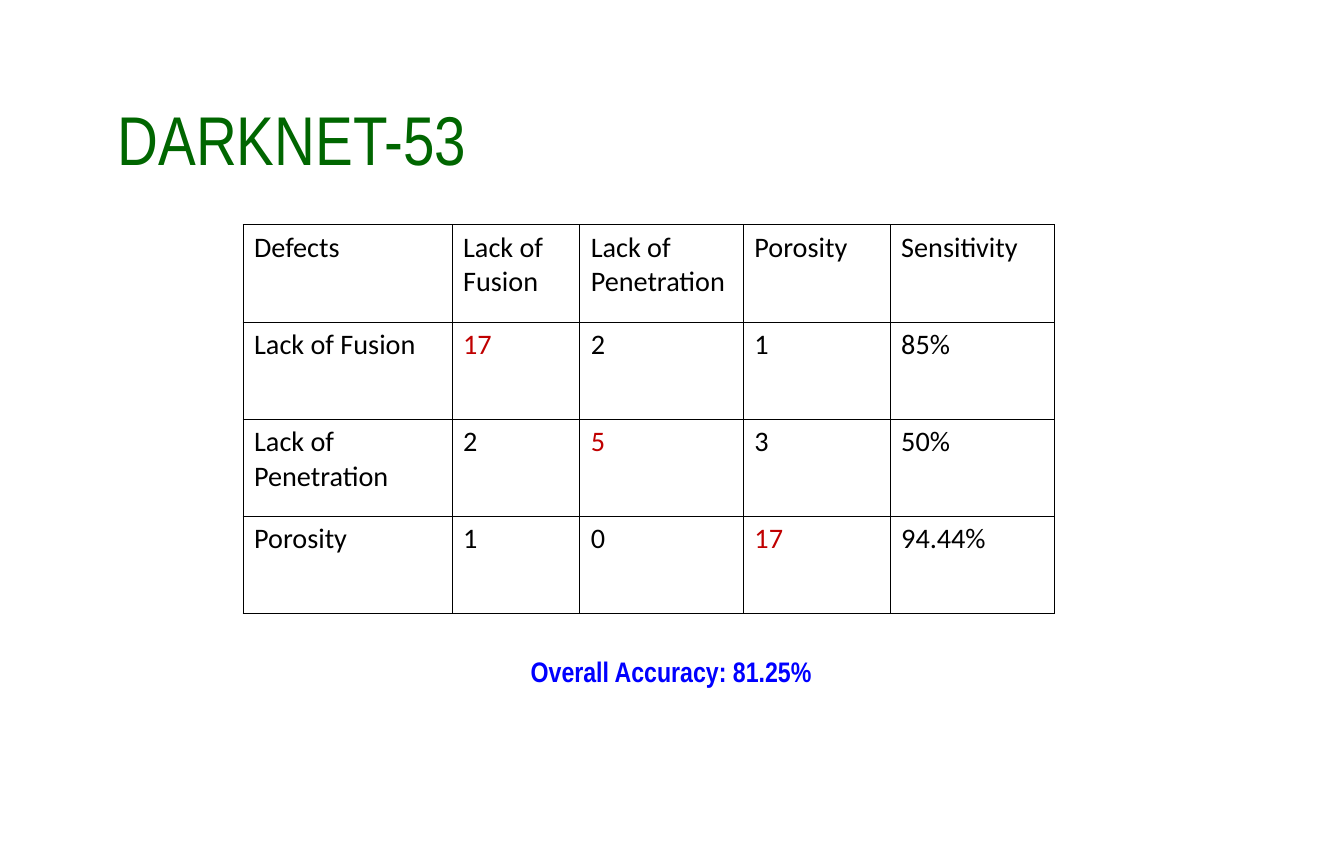
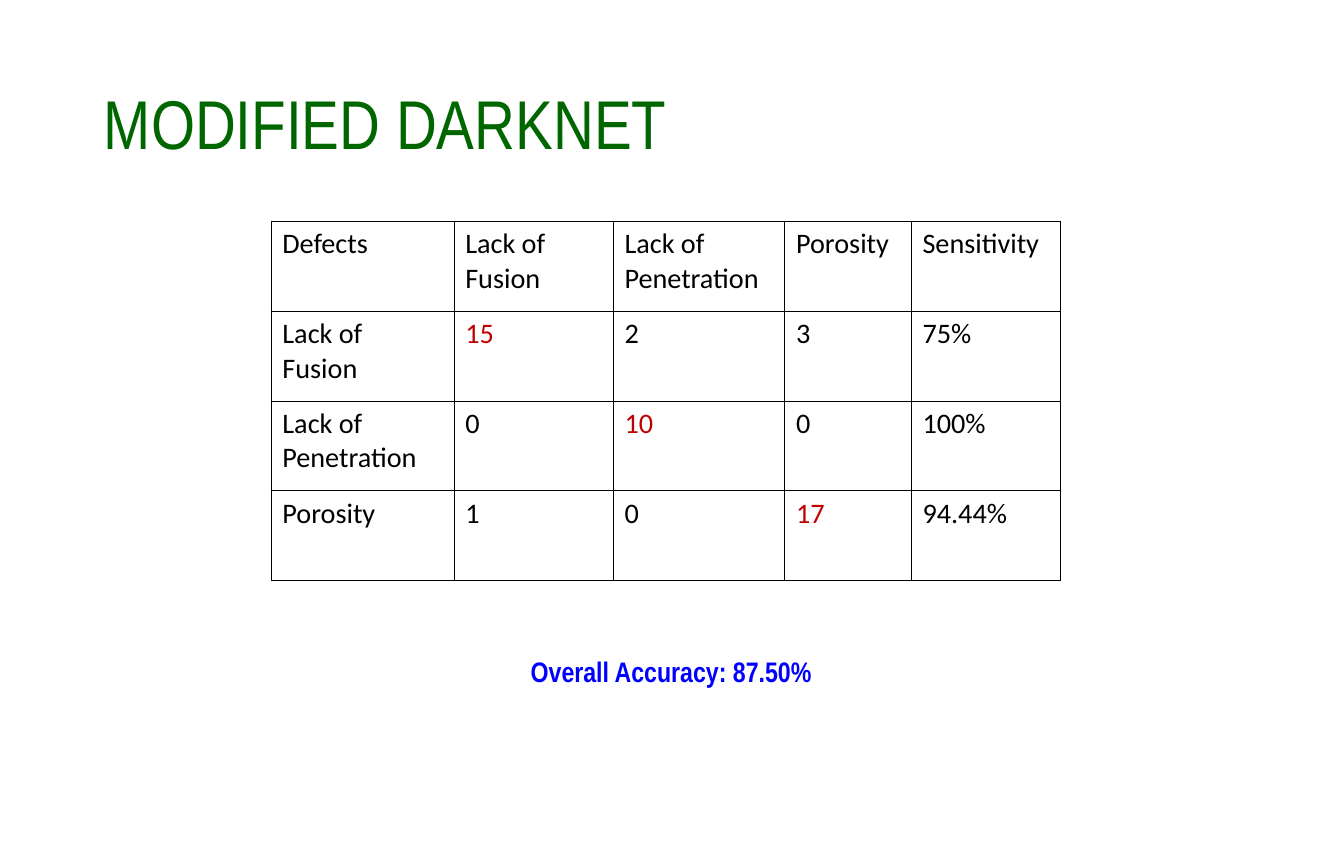
from dataclasses import dataclass

from lxml import etree
from pptx import Presentation
from pptx import util as u
from pptx.dml.color import RGBColor
from pptx.enum import text
from pptx.oxml import ns

SLIDE_WIDTH = u.Inches(11.9)
SLIDE_HEIGHT = u.Inches(7.5)
COLORS = {
    "title": "006600",
    "text": "000000",
    "border": "000000",
    "correct": "C00000",
    "accuracy": "0000FF",
}
NARROW = "Arial Narrow"
BODY = "Calibri"
BORDER_WIDTH = u.Pt(0.45)
TITLE_SIZE = (86.22, 19.33)
ACCURACY_BOX = (38.66, 76.53, 22.61, 5.33)
DEFECTS = ("Lack of Fusion", "Lack of Penetration", "Porosity")


@dataclass(frozen=True)
class ConfusionSlide:
    """Positions and sizes are percentages of the slide."""

    title: str
    title_corner: tuple[float, float]
    table_corner: tuple[float, float]
    column_widths: tuple[float, ...]
    row_height: float
    counts: tuple[tuple[int, ...], ...]
    sensitivities: tuple[str, ...]
    accuracy: str


SLIDES = (
    ConfusionSlide(
        "DARKNET-53", (7.9, 7.2), (18.07, 26.53),
        (15.55, 9.5, 12.18, 10.92, 12.27), 11.47,
        ((17, 2, 1), (2, 5, 3), (1, 0, 17)),
        ("85%", "50%", "94.44%"), "81.25%",
    ),
    ConfusionSlide(
        "MODIFIED DARKNET", (6.89, 5.33), (20.17, 26.13),
        (13.61, 11.85, 12.77, 9.41, 11.09), 10.6,
        ((15, 2, 3), (0, 10, 0), (1, 0, 17)),
        ("75%", "100%", "94.44%"), "87.50%",
    ),
)


def across(percent: float) -> int:
    return round(SLIDE_WIDTH * percent / 100)


def down(percent: float) -> int:
    return round(SLIDE_HEIGHT * percent / 100)


def frame(left: float, top: float, width: float, height: float) -> tuple[int, ...]:
    return across(left), down(top), across(width), down(height)


def style(paragraph, font_name: str, size: float, color: str, bold: bool = False) -> None:
    paragraph.alignment = text.PP_ALIGN.LEFT
    font = paragraph.font
    font.name = font_name
    font.size = u.Pt(size)
    font.bold = bold
    font.color.rgb = RGBColor.from_string(COLORS[color])


def set_borders(cell) -> None:
    properties = cell._tc.get_or_add_tcPr()
    for index, side in enumerate(("lnL", "lnR", "lnT", "lnB")):
        line = etree.Element(ns.qn(f"a:{side}"), w=str(int(BORDER_WIDTH)))
        fill = etree.SubElement(line, ns.qn("a:solidFill"))
        etree.SubElement(fill, ns.qn("a:srgbClr"), val=COLORS["border"])
        properties.insert(index, line)


def add_title(slide, content: ConfusionSlide) -> None:
    title = slide.shapes.title
    title.left, title.top, title.width, title.height = frame(*content.title_corner, *TITLE_SIZE)
    title.text_frame.text = content.title
    title.text_frame.auto_size = text.MSO_AUTO_SIZE.NONE
    title.text_frame.vertical_anchor = text.MSO_ANCHOR.MIDDLE
    paragraph = title.text_frame.paragraphs[0]
    paragraph.line_spacing = 0.9
    style(paragraph, NARROW, 44, "title")


def add_confusion_table(slide, content: ConfusionSlide) -> None:
    rows = [("Defects", *DEFECTS, "Sensitivity")]
    rows += [
        (defect, *counts, sensitivity)
        for defect, counts, sensitivity in zip(DEFECTS, content.counts, content.sensitivities)
    ]
    size = (sum(content.column_widths), content.row_height * len(rows))
    table = slide.shapes.add_table(
        len(rows), len(content.column_widths), *frame(*content.table_corner, *size)
    ).table
    table.first_row = False
    table.horz_banding = False
    for column, width in zip(table.columns, content.column_widths):
        column.width = across(width)
    for row_index, values in enumerate(rows):
        table.rows[row_index].height = down(content.row_height)
        for column_index, value in enumerate(values):
            cell = table.cell(row_index, column_index)
            cell.text = str(value)
            cell.fill.background()
            set_borders(cell)
            correct = row_index == column_index > 0
            style(cell.text_frame.paragraphs[0], BODY, 18, "correct" if correct else "text")


def add_accuracy(slide, accuracy: str) -> None:
    text_frame = slide.shapes.add_textbox(*frame(*ACCURACY_BOX)).text_frame
    text_frame.word_wrap = False
    text_frame.auto_size = text.MSO_AUTO_SIZE.SHAPE_TO_FIT_TEXT
    text_frame.text = f"Overall Accuracy: {accuracy}"
    style(text_frame.paragraphs[0], NARROW, 18, "accuracy", bold=True)


def main() -> None:
    presentation = Presentation()
    presentation.slide_width = SLIDE_WIDTH
    presentation.slide_height = SLIDE_HEIGHT
    title_only = presentation.slide_layouts.get_by_name("Title Only")
    for content in SLIDES:
        slide = presentation.slides.add_slide(title_only)
        add_title(slide, content)
        add_confusion_table(slide, content)
        add_accuracy(slide, content.accuracy)
    presentation.save("out.pptx")


if __name__ == "__main__":
    main()
